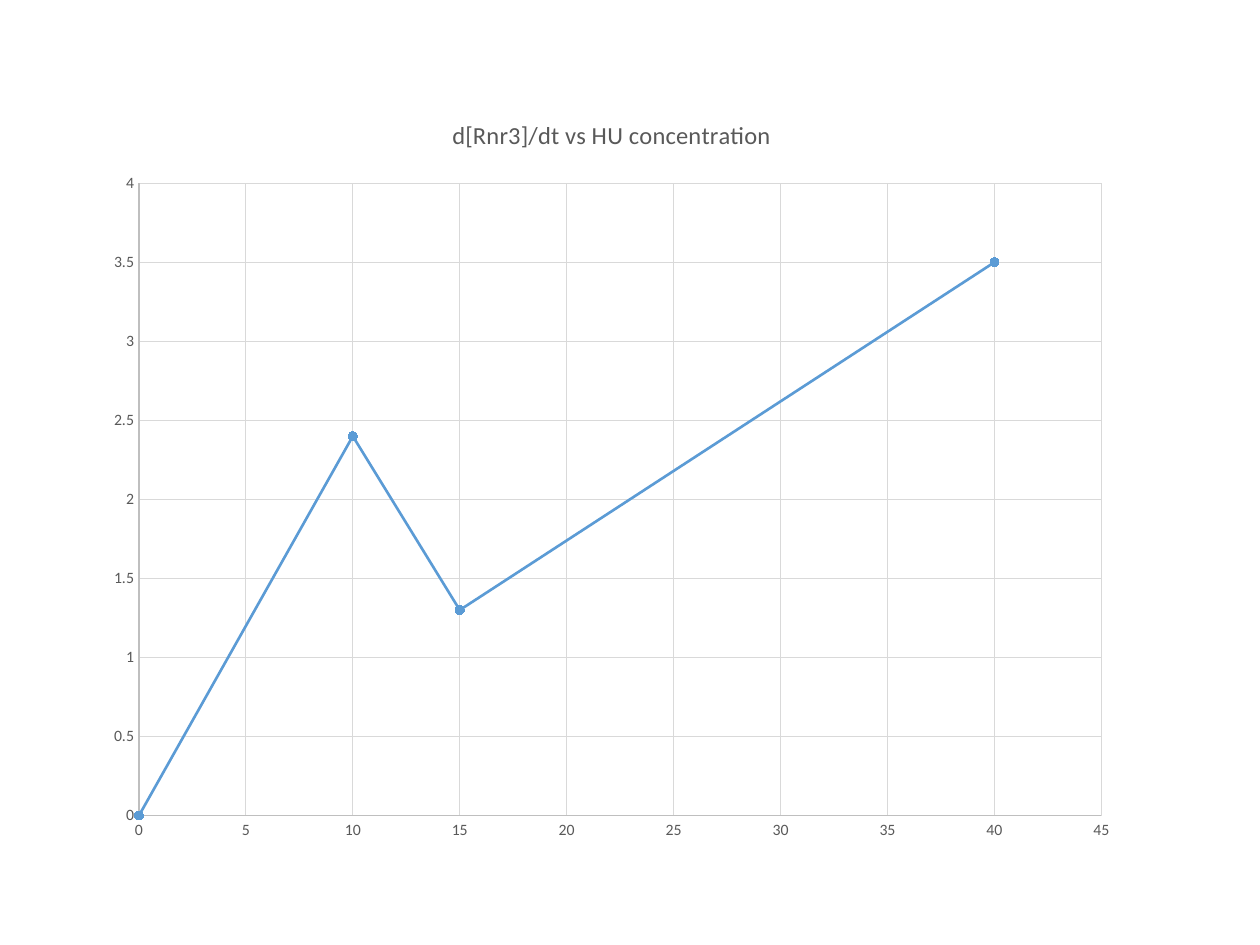
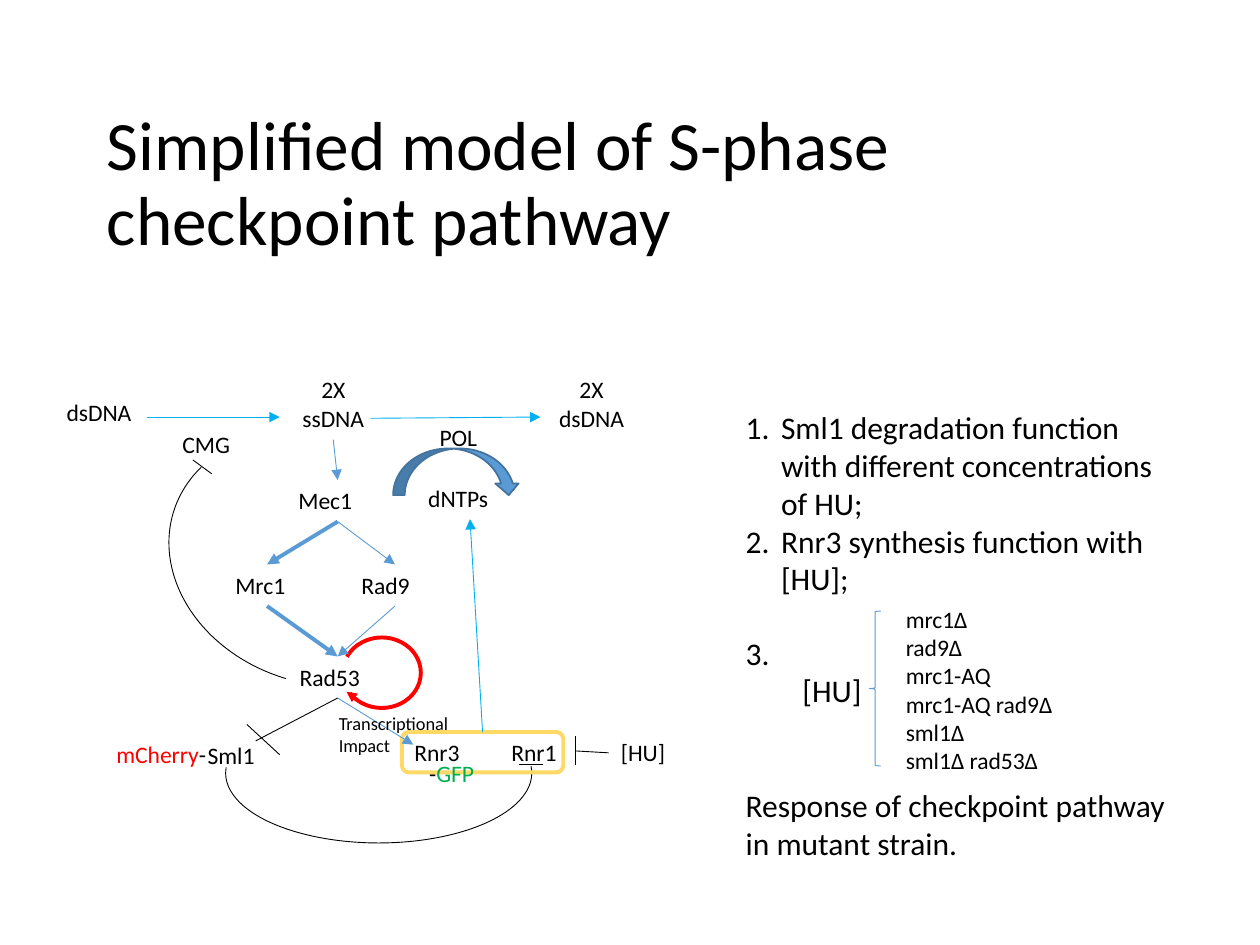
from lxml import etree
from pptx import Presentation, util as u
from pptx.chart.data import XyChartData
from pptx.dml.color import RGBColor
from pptx.enum import chart as charts, shapes, text
from pptx.oxml.ns import qn

FONT = "Calibri"
BLACK, GREY, GRID, AXIS = "000000", "595959", "D9D9D9", "BFBFBF"
BLUE, DARK_BLUE, SKY = "5B9BD5", "43739E", "00B0F0"
RED, GREEN, YELLOW = "FF0000", "00B050", "FFD966"
THIN, THICK = 0.5, 2.25
TITLE_SIZE, BODY_SIZE, LABEL_SIZE, NOTE_SIZE = 39.6, 18, 13.5, 10.5
TOP, LEFT, BOTTOM = 0, 1, 2

RATE_TITLE = "d[Rnr3]/dt vs HU concentration"
RATE_POINTS = [(0, 0), (10, 2.4), (15, 1.3), (40, 3.5)]
RATE_FRAME = (0.74, 0.73, 8.23, 6.05)

PATHWAY_TITLE = "Simplified model of S-phase checkpoint pathway"
QUESTIONS = ["Sml1 degradation function with different concentrations of HU;",
             "Rnr3 synthesis function with [HU];"]
MUTANTS = ["mrc1Δ", "rad9Δ", "mrc1-AQ", "mrc1-AQ rad9Δ", "sml1Δ", "sml1Δ rad53Δ"]

# name: (left, top, width, lines)
NODES = {
    "start dsDNA": (0.43, 3.11, 0.87, ["dsDNA"]),
    "ssDNA": (2.25, 2.93, 0.79, ["2X", "ssDNA"]),
    "end dsDNA": (4.33, 2.93, 0.73, ["2X", "dsDNA"]),
    "CMG": (1.35, 3.36, 0.74, ["CMG"]),
    "POL": (3.39, 3.31, 0.52, ["POL"]),
    "dNTPs": (3.3, 3.79, 0.86, ["dNTPs"]),
    "Mec1": (2.27, 3.81, 0.82, ["Mec1"]),
    "Mrc1": (1.77, 4.48, 0.7, ["Mrc1"]),
    "Rad9": (2.77, 4.48, 0.73, ["Rad9"]),
    "Rad53": (2.28, 5.21, 0.8, ["Rad53"]),
    "Sml1": (1.55, 5.83, 0.67, ["Sml1"]),
    "Rnr3": (3.19, 5.81, 0.76, ["Rnr3"]),
    "Rnr1": (3.96, 5.81, 0.81, ["Rnr1"]),
    "HU": (4.83, 5.81, 0.57, ["[HU]"]),
}
LINE_HEIGHT, INSETS = 0.23, 0.1

# name: (preset, frame, line colour, line width, fill, rotation, adjustments)
OUTLINES = {
    "Rad53 loop": ("ARC", (2.72, 5.06, 0.62, 0.56), RED, THICK, None, 0, (122.8, 88.28)),
    "Rad53 to CMG": ("ARC", (1.32, 3.44, 2.42, 1.98), BLACK, THIN, None, 198.7, (159.89, 11.41)),
    "Sml1 to Rnr1": ("ARC", (1.79, 5.58, 2.43, 1.11), BLACK, THIN, None, 180, (106.47, 1.27)),
    "synthesis": ("CURVED_DOWN_ARROW", (3.12, 3.56, 1.01, 0.37), DARK_BLUE, 1, BLUE, 0, ()),
    "Rnr complex": ("ROUNDED_RECTANGLE", (3.19, 5.81, 1.28, 0.32), YELLOW, THICK, None, 0, ()),
    "mutant brace": ("LEFT_BRACE", (6.9, 4.85, 0.09, 1.23), BLUE, THIN, None, 0, ()),
}

# An end is a point (x, y) or a (node, side) pair.
ARROWS = [
    ((1.17, 3.31), (2.22, 3.31), SKY, THIN),
    ((2.94, 3.32), (4.29, 3.31), SKY, THIN),
    (("Rnr complex", TOP), ("dNTPs", BOTTOM), SKY, THIN),
    (("ssDNA", BOTTOM), ("Mec1", TOP), BLUE, THIN),
    (("Mec1", BOTTOM), ("Mrc1", TOP), BLUE, THICK),
    (("Mec1", BOTTOM), ("Rad9", TOP), BLUE, THIN),
    (("Mrc1", BOTTOM), ("Rad53", TOP), BLUE, THICK),
    (("Rad9", BOTTOM), ("Rad53", TOP), BLUE, THIN),
    (("Rad53", BOTTOM), (3.28, 5.91), BLUE, THIN),
    ((2.86, 5.57), (2.75, 5.49), RED, THIN),
]
INHIBITORS = [
    (("Rad53", BOTTOM), (2.03, 5.88)),
    ((4.57, 5.96), ("HU", LEFT)),
    ((1.96, 5.75), (2.22, 5.99)),
    ((1.53, 3.65), (1.68, 3.76)),
    ((4.12, 6.07), (4.31, 6.07)),
    ((4.57, 5.84), (4.57, 6.07)),
]


def rgb(colour):
    return RGBColor.from_string(colour)


def inches(values):
    return [u.Inches(value) for value in values]


def style_font(font, size, colour):
    font.name, font.size = FONT, u.Pt(size)
    font.color.rgb = rgb(colour)


def style_line(line, colour, width):
    line.color.rgb = rgb(colour)
    line.width = u.Pt(width)


def add_text(page, frame, paras, size, align="LEFT", anchor="TOP"):
    """Add a box; each paragraph is a string or a list of (text, colour) runs."""
    box = page.shapes.add_textbox(*inches(frame))
    body = box.text_frame
    body.word_wrap = True
    body.vertical_anchor = text.MSO_ANCHOR[anchor]
    for index, runs in enumerate(paras):
        para = body.add_paragraph() if index else body.paragraphs[0]
        para.alignment = text.PP_ALIGN[align]
        for words, colour in [(runs, BLACK)] if isinstance(runs, str) else runs:
            span = para.add_run()
            span.text = words
            style_font(span.font, size, colour)
    return box


def indent(para, left, first=0.0):
    props = para._p.get_or_add_pPr()
    props.set("marL", str(u.Inches(left)))
    props.set("indent", str(u.Inches(first)))
    return props


def add_outline(page, preset, frame, colour, width, fill, rotation, adjustments):
    shape = page.shapes.add_shape(shapes.MSO_SHAPE[preset], *inches(frame))
    shape.shadow.inherit = False
    style_line(shape.line, colour, width)
    if fill:
        shape.fill.solid()
        shape.fill.fore_color.rgb = rgb(fill)
    else:
        shape.fill.background()
    shape.rotation = rotation
    for index, value in enumerate(adjustments):
        shape.adjustments[index] = value
    return shape


def add_link(page, parts, start, end, colour, width, arrow=False):
    points = [(0, 0) if isinstance(tip[0], str) else tip for tip in (start, end)]
    link = page.shapes.add_connector(shapes.MSO_CONNECTOR.STRAIGHT,
                                     *inches(points[0] + points[1]))
    for tip, join in ((start, link.begin_connect), (end, link.end_connect)):
        if isinstance(tip[0], str):
            join(parts[tip[0]], tip[1])
    style_line(link.line, colour, width)
    props = link._element.spPr
    if arrow:
        etree.SubElement(props.find(qn("a:ln")), qn("a:tailEnd"), type="triangle")
    etree.SubElement(props, qn("a:effectLst"))


def build_rate_chart(page):
    data = XyChartData()
    series = data.add_series("Series 1")
    for x, y in RATE_POINTS:
        series.add_data_point(x, y)
    chart = page.shapes.add_chart(charts.XL_CHART_TYPE.XY_SCATTER_LINES,
                                  *inches(RATE_FRAME), data).chart
    style_font(chart.font, 10, BLACK)
    chart.has_legend = False
    chart.has_title = True
    span = chart.chart_title.text_frame.paragraphs[0].add_run()
    span.text = RATE_TITLE
    style_font(span.font, 14, GREY)
    span.font.bold = False
    chart.chart_title.include_in_layout = False

    for axis, top, step in ((chart.category_axis, 45, 5), (chart.value_axis, 4, 0.5)):
        axis.minimum_scale, axis.maximum_scale, axis.major_unit = 0, top, step
        axis.has_major_gridlines = True
        axis.major_tick_mark = axis.minor_tick_mark = charts.XL_TICK_MARK.NONE
        style_line(axis.major_gridlines.format.line, GRID, 0.75)
        style_line(axis.format.line, AXIS, 0.75)
        style_font(axis.tick_labels.font, 9, GREY)
        axis.tick_labels.number_format = "General"
        axis.tick_labels.number_format_is_linked = False

    plot = chart.plots[0]
    plot.vary_by_categories = False
    rate = plot.series[0]
    rate.smooth = False
    style_line(rate.format.line, BLUE, 1.5)
    rate.marker.style, rate.marker.size = charts.XL_MARKER_STYLE.CIRCLE, 5
    rate.marker.format.fill.solid()
    rate.marker.format.fill.fore_color.rgb = rgb(BLUE)
    style_line(rate.marker.format.line, BLUE, 0.75)


def build_pathway(page):
    title = add_text(page, (0.75, 1.1, 8.62, 0.74), [PATHWAY_TITLE], TITLE_SIZE, anchor="MIDDLE")
    title.text_frame.paragraphs[0].line_spacing = 0.9

    parts = {}
    for name, (left, top, width, lines) in NODES.items():
        frame = (left, top, width, INSETS + LINE_HEIGHT * len(lines))
        align = "CENTER" if len(lines) > 1 else "LEFT"
        parts[name] = add_text(page, frame, lines, LABEL_SIZE, align)
    for name, outline in OUTLINES.items():
        parts[name] = add_outline(page, *outline)
    for arrow in ARROWS:
        add_link(page, parts, *arrow, arrow=True)
    for start, end in INHIBITORS:
        add_link(page, parts, start, end, BLACK, THIN)

    add_text(page, (0.78, 5.82, 1, 0.33), [[("mCherry", RED), ("-", BLACK)]],
             LABEL_SIZE, "CENTER", "MIDDLE")
    add_text(page, (3.13, 5.99, 0.91, 0.29), [[("-", BLACK), ("GFP", GREEN)]],
             LABEL_SIZE, "CENTER", "MIDDLE")
    add_text(page, (2.59, 5.6, 1.09, 0.45), ["Transcriptional Impact"], NOTE_SIZE)


def build_questions(page):
    numbered = add_text(page, (5.82, 3.19, 3.55, 1.62), QUESTIONS, BODY_SIZE)
    for para in numbered.text_frame.paragraphs:
        etree.SubElement(indent(para, 0.28, -0.28), qn("a:buAutoNum"), type="arabicPeriod")

    third = add_text(page, (5.82, 4.98, 3.55, 1.92),
                     ["3.", "[HU]", "Response of checkpoint pathway in mutant strain."], BODY_SIZE)
    _, dose, response = third.text_frame.paragraphs
    indent(dose, 0.45)
    response.space_before = u.Pt(44)
    add_text(page, (7.09, 4.75, 1.52, 1.46), MUTANTS, LABEL_SIZE)


def main():
    deck = Presentation()
    deck.slide_width, deck.slide_height = inches((10, 7.5))
    blank = deck.slide_layouts[6]
    build_rate_chart(deck.slides.add_slide(blank))
    pathway = deck.slides.add_slide(blank)
    build_pathway(pathway)
    build_questions(pathway)
    deck.save("out.pptx")


if __name__ == "__main__":
    main()
